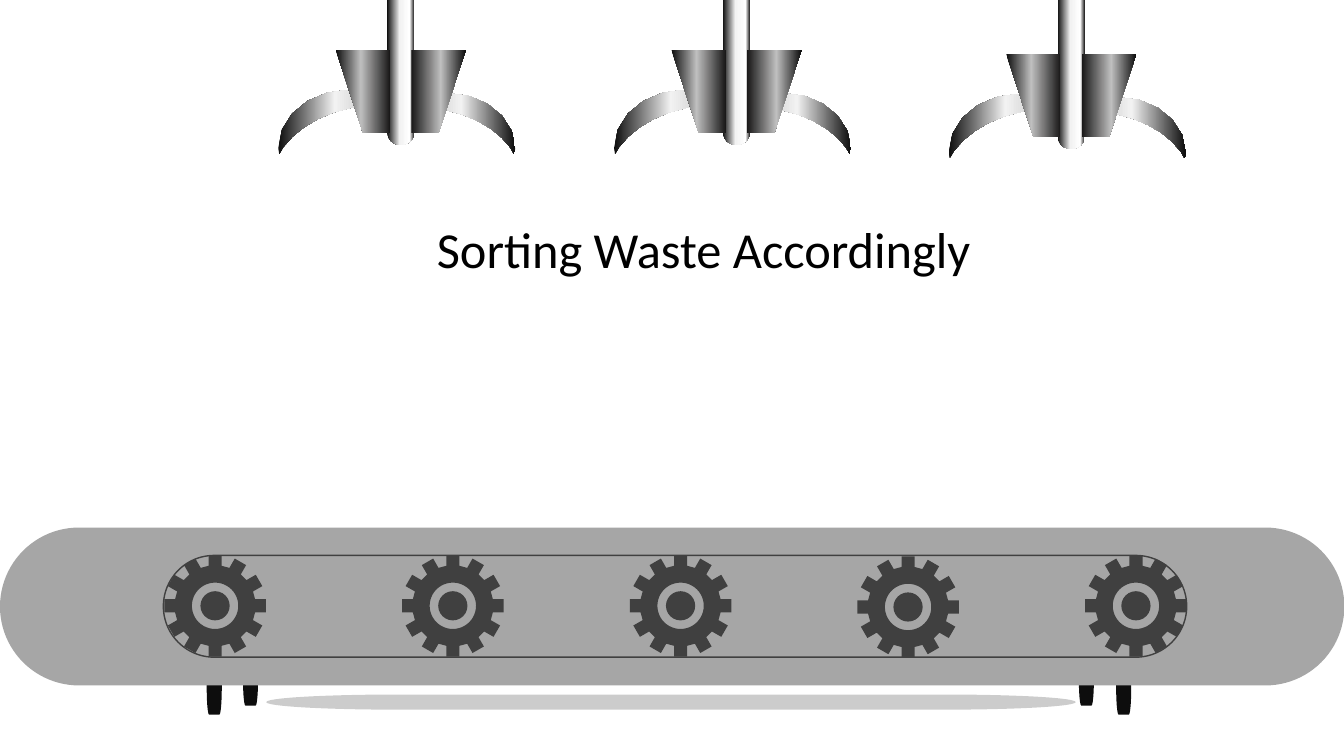
from dataclasses import dataclass
from math import comb, cos, pi, sin

from lxml.etree import SubElement
from pptx import Presentation
from pptx.dml.color import RGBColor
from pptx.enum.shapes import MSO_SHAPE
from pptx.enum.text import MSO_ANCHOR, MSO_AUTO_SIZE, PP_ALIGN
from pptx.oxml.ns import qn
from pptx.util import Emu, Inches, Pt

Point = tuple[float, float]
Stops = list[tuple[int, str]]

COLORS = {
    "black": "000000",
    "ink": "0D0D0D",
    "edge": "181717",
    "gear": "404040",
    "belt": "A6A6A6",
    "steel": "BFBFBF",
    "shine": "F2F2F2",
    "white": "FFFFFF",
}
CLAW_STOPS: Stops = [(0, "ink"), (46, "shine"), (83, "steel"), (100, "edge")]
ROD_STOPS: Stops = [(0, "ink"), (46, "shine"), (83, "white"), (100, "edge")]
CONE_STOPS: Stops = [(0, "ink"), (46, "steel"), (100, "edge")]

COLUMNS, ROWS = 80, 45
SLIDE_WIDTH, SLIDE_HEIGHT = Inches(13.33), Inches(7.5)
CELL = SLIDE_HEIGHT / ROWS

CLAW_CURVES: list[list[Point]] = [
    [(4.26, 0), (5.4, 0), (6.48, 0.42), (7.26, 1.02)],
    [(7.32, 1.08)],
    [(6.36, 0.96), (5.7, 0.9), (5.04, 0.96), (4.32, 1.08)],
    [(4.32, 1.08), (2.52, 1.44), (1.08, 2.34), (0.3, 3.42)],
    [(0.06, 3.84)],
    [(0, 3.48), (0, 1.56), (1.92, 0), (4.26, 0)],
]
CURVE_STEPS = 5
CONE_OUTLINE: list[Point] = [(0, 0), (3.24, 0), (3.24, 4.95), (1.62, 4.95)]

TEETH = 12
TOOTH_TIP, TOOTH_ROOT, TOOTH_HALF_WIDTH = 3.02, 2.38, 0.39
RING_RADIUS, HUB_RADIUS = 1.38, 0.87
FULL_TURN = 360 * 60000


@dataclass(frozen=True)
class Box:
    left: float
    top: float
    width: float
    height: float


@dataclass(frozen=True)
class Spot:
    column: float
    row: float


@dataclass(frozen=True)
class GripperPart:
    outline: list[Point]
    stops: Stops
    column: float
    row: float
    scale: float = 1
    mirrored: bool = False


LEGS = [Box(64.2, 38.7, 0.9, 3.3), Box(66.42, 39.24, 0.9, 3.3),
        Box(14.46, 38.7, 0.9, 3.3), Box(12.3, 39.24, 0.9, 3.3)]
BELT = Box(0, 31.4, COLUMNS, 9.4)
TRACK = Box(9.72, 33.06, 60.9, 6.06)
FLOOR_SHADOW = Box(15.84, 41.34, 48.18, 0.9)
TITLE = Box(24.9, 12.66, 33.96, 4.26)
GEARS = [Spot(12.8, 36.06), Spot(26.95, 36.06), Spot(40.5, 36.06),
         Spot(54.04, 36.13), Spot(67.6, 36.06)]
GRIPPERS = [Spot(16.56, 0), Spot(36.54, 0), Spot(56.46, 0.24)]


def cells(count: float) -> Emu:
    return Emu(round(count * CELL))


def sample_curve(controls: list[Point]) -> list[Point]:
    degree = len(controls) - 1
    if degree == 0:
        return controls
    points = []
    for step in range(CURVE_STEPS + 1):
        t = step / CURVE_STEPS
        weights = [comb(degree, i) * t**i * (1 - t) ** (degree - i) for i in range(degree + 1)]
        points.append((sum(w * x for w, (x, _) in zip(weights, controls)),
                       sum(w * y for w, (_, y) in zip(weights, controls))))
    return points


def gear_rim() -> list[Point]:
    half = TOOTH_HALF_WIDTH
    tooth = [(TOOTH_ROOT, -half), (TOOTH_TIP, -half), (TOOTH_TIP, half), (TOOTH_ROOT, half)]
    angles = [2 * pi * index / TEETH for index in range(TEETH)]
    return [(x * cos(angle) - y * sin(angle), x * sin(angle) + y * cos(angle))
            for angle in angles for x, y in tooth]


def paint(shape, color: str, opacity: int = 100) -> None:
    shape.shadow.inherit = False
    shape.line.fill.background()
    shape.fill.solid()
    shape.fill.fore_color.rgb = RGBColor.from_string(COLORS[color])
    if opacity < 100:
        color_element = shape._element.spPr.find(qn("a:solidFill"))[0]
        SubElement(color_element, qn("a:alpha"), val=str(opacity * 1000))


def paint_gradient(shape, stops: Stops, mirrored: bool = False) -> None:
    shape.shadow.inherit = False
    shape.line.fill.background()
    shape.fill.gradient()
    shape.fill.gradient_angle = 0
    stop_list = shape._element.spPr.find(qn("a:gradFill")).find(qn("a:gsLst"))
    for stop in list(stop_list):
        stop_list.remove(stop)
    ordered = [(100 - position, color) for position, color in reversed(stops)] if mirrored else stops
    for position, color in ordered:
        stop = SubElement(stop_list, qn("a:gs"), pos=str(position * 1000))
        SubElement(stop, qn("a:srgbClr"), val=COLORS[color])


def add_preset(slide, kind: MSO_SHAPE, box: Box):
    shape = slide.shapes.add_shape(
        kind, cells(box.left), cells(box.top), cells(box.width), cells(box.height))
    if kind == MSO_SHAPE.ROUNDED_RECTANGLE:
        shape.adjustments[0] = 0.5
    return shape


def add_outline(slide, outline: list[Point], origin: Spot):
    placed = [(cells(origin.column + x), cells(origin.row + y)) for x, y in outline]
    builder = slide.shapes.build_freeform(*placed[0])
    builder.add_line_segments(placed[1:], close=True)
    return builder.convert_to_shape()


def add_centred_circle(shape, radius: float) -> None:
    contour = next(shape._element.iter(qn("a:path")))
    move = SubElement(contour, qn("a:moveTo"))
    SubElement(move, qn("a:pt"), x=str(shape.width // 2 + cells(radius)), y=str(shape.height // 2))
    SubElement(contour, qn("a:arcTo"), wR=str(cells(radius)), hR=str(cells(radius)),
               stAng="0", swAng=str(FULL_TURN))
    SubElement(contour, qn("a:close"))


def add_gear(slide, center: Spot) -> None:
    gear = add_outline(slide, gear_rim(), center)
    for radius in (RING_RADIUS, HUB_RADIUS):
        add_centred_circle(gear, radius)
    paint(gear, "gear")


def add_gripper_part(slide, part: GripperPart, gripper: Spot) -> None:
    direction = -part.scale if part.mirrored else part.scale
    outline = [(direction * x, part.scale * y) for x, y in part.outline]
    origin = Spot(gripper.column + part.column, gripper.row + part.row)
    paint_gradient(add_outline(slide, outline, origin), part.stops, part.mirrored)


def add_gripper(slide, gripper: Spot) -> None:
    claw = [point for curve in CLAW_CURVES for point in sample_curve(curve)]
    add_gripper_part(slide, GripperPart(claw, CLAW_STOPS, 0, 5.34), gripper)
    add_gripper_part(slide, GripperPart(claw, CLAW_STOPS, 14.1, 5.54, 0.95, True), gripper)
    rod = Box(gripper.column + 6.48, gripper.row - 16.86, 1.62, 25.5)
    paint_gradient(add_preset(slide, MSO_SHAPE.ROUNDED_RECTANGLE, rod), ROD_STOPS)
    add_gripper_part(slide, GripperPart(CONE_OUTLINE, CONE_STOPS, 3.42, 2.96), gripper)
    add_gripper_part(slide, GripperPart(CONE_OUTLINE, CONE_STOPS, 11.16, 2.98, 1, True), gripper)


def add_conveyor(slide) -> None:
    for leg in LEGS:
        paint(add_preset(slide, MSO_SHAPE.FLOWCHART_TERMINATOR, leg), "ink")
    paint(add_preset(slide, MSO_SHAPE.ROUNDED_RECTANGLE, BELT), "belt")
    track = add_preset(slide, MSO_SHAPE.ROUNDED_RECTANGLE, TRACK)
    paint(track, "belt", opacity=2)
    track.line.color.rgb = RGBColor.from_string(COLORS["gear"])
    track.line.width = Pt(1)
    for center in GEARS:
        add_gear(slide, center)
    paint(add_preset(slide, MSO_SHAPE.FLOWCHART_TERMINATOR, FLOOR_SHADOW), "black", opacity=20)


def write_title(title, text: str, *, box: Box, size: int, font: str, color: str) -> None:
    title.left, title.top = cells(box.left), cells(box.top)
    title.width, title.height = cells(box.width), cells(box.height)
    frame = title.text_frame
    frame.text, frame.word_wrap = text, True
    frame.auto_size = MSO_AUTO_SIZE.SHAPE_TO_FIT_TEXT
    frame.vertical_anchor = MSO_ANCHOR.TOP
    paragraph = frame.paragraphs[0]
    paragraph.alignment = PP_ALIGN.CENTER
    paragraph.font.size, paragraph.font.name = Pt(size), font
    paragraph.font.color.rgb = RGBColor.from_string(COLORS[color])


presentation = Presentation()
presentation.slide_width, presentation.slide_height = SLIDE_WIDTH, SLIDE_HEIGHT
sorting_slide = presentation.slides.add_slide(presentation.slide_layouts[5])
add_conveyor(sorting_slide)
for gripper_spot in GRIPPERS:
    add_gripper(sorting_slide, gripper_spot)
write_title(sorting_slide.shapes.title, "Sorting Waste Accordingly",
            box=TITLE, size=36, font="Calibri", color="black")
presentation.save("out.pptx")
